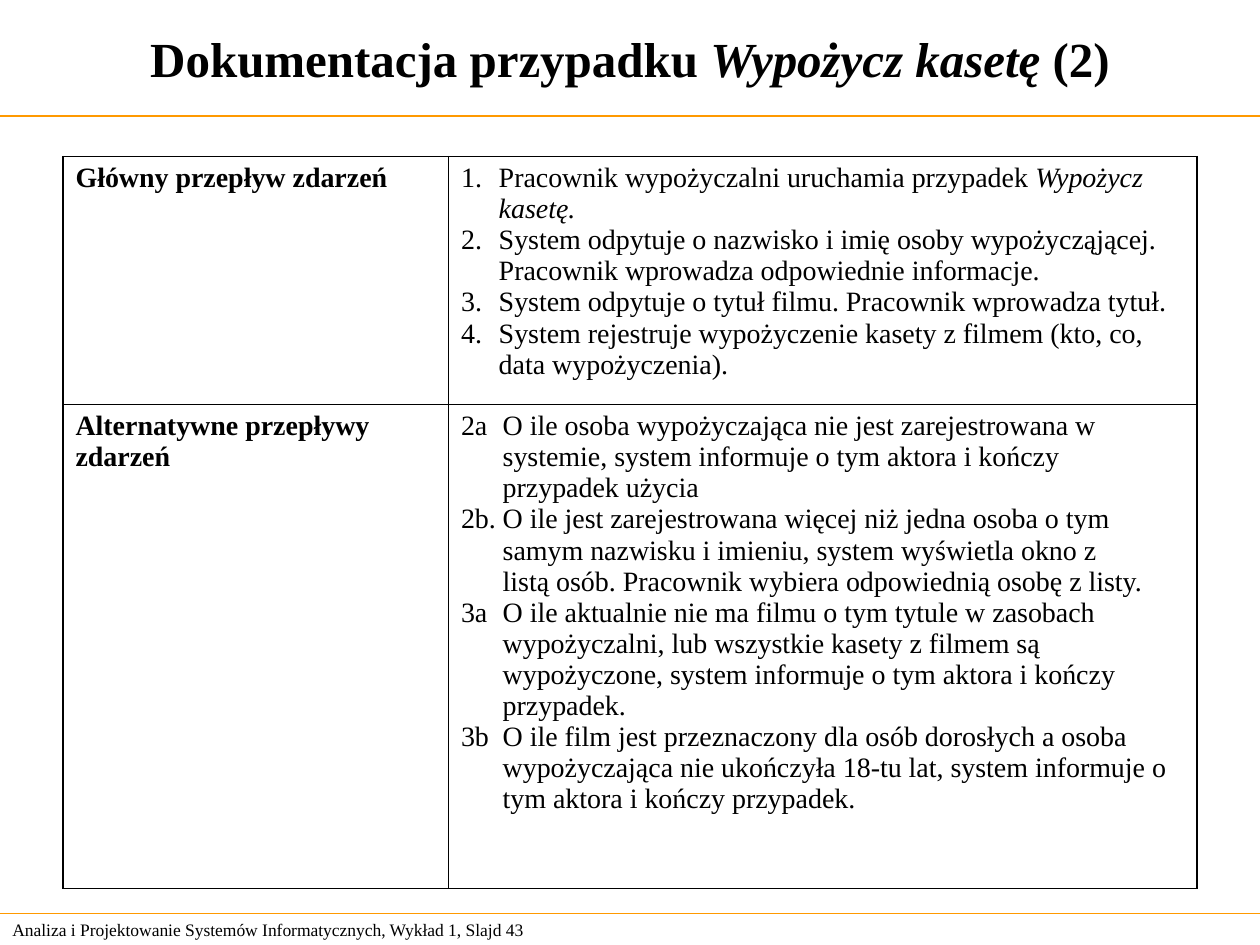
import pptx
import pptx.dml.color
import pptx.enum.shapes
import pptx.enum.text
import pptx.oxml.ns
import pptx.util
from lxml import etree
from pptx.util import Cm

BLACK = pptx.dml.color.RGBColor(0, 0, 0)
ORANGE = pptx.dml.color.RGBColor(0xFF, 0x99, 0x00)
FONT = "Times New Roman"
THIN, THICK = 0.45, 0.96
PAGE_WIDTH, PAGE_HEIGHT = 25.4, 19.05
HEADER_HEIGHT, FOOTER_TOP = 2.34, 18.41

MAIN_FLOW = [
    [("Pracownik wypożyczalni uruchamia przypadek ", False), ("Wypożycz kasetę.", True)],
    [("System odpytuje o nazwisko i imię osoby wypożycząjącej. "
      "Pracownik wprowadza odpowiednie informacje.", False)],
    [("System odpytuje o tytuł filmu. Pracownik wprowadza tytuł.", False)],
    [("System rejestruje wypożyczenie kasety z filmem (kto, co, data wypożyczenia).", False)],
]
ALTERNATIVE_FLOWS = [
    ("2a", ["O ile osoba wypożyczająca nie jest zarejestrowana w",
            "systemie, system informuje o tym aktora i kończy",
            "przypadek użycia"]),
    ("2b.", ["O ile jest zarejestrowana więcej niż jedna osoba o tym",
             "samym nazwisku i imieniu, system wyświetla okno z",
             "listą osób. Pracownik wybiera odpowiednią osobę z listy."]),
    ("3a", ["O ile aktualnie nie ma filmu o tym tytule w zasobach",
            "wypożyczalni, lub wszystkie kasety z filmem są",
            "wypożyczone, system informuje o tym aktora i kończy",
            "przypadek."]),
    ("3b", ["O ile film jest przeznaczony dla osób dorosłych a osoba",
            "wypożyczająca nie ukończyła 18-tu lat, system informuje o",
            "tym aktora i kończy przypadek."]),
]


def add_span(para, text, size, bold=False, italic=False):
    span = para.add_run()
    span.text = text
    font = span.font
    font.name, font.size = FONT, pptx.util.Pt(size)
    font.bold, font.italic = bold, italic
    font.color.rgb = BLACK


def next_para(frame, index):
    return frame.add_paragraph() if index else frame.paragraphs[0]


def set_indent(para, left, first=0):
    properties = para._p.get_or_add_pPr()
    properties.set("marL", str(Cm(left)))
    properties.set("indent", str(Cm(first)))
    return properties


def add_rule(page, left, top, width):
    rule = page.shapes.add_connector(pptx.enum.shapes.MSO_CONNECTOR.STRAIGHT,
                                     Cm(left), Cm(top), Cm(left + width), Cm(top))
    rule.line.color.rgb = ORANGE
    rule.line.width = pptx.util.Pt(0.75)
    etree.SubElement(rule._element.spPr, pptx.oxml.ns.qn("a:effectLst"))


def add_header(page, left, top, width, height):
    title = page.shapes.title
    title.left, title.top, title.width, title.height = Cm(left), Cm(top), Cm(width), Cm(height)
    frame = title.text_frame
    frame.auto_size = pptx.enum.text.MSO_AUTO_SIZE.NONE
    frame.vertical_anchor = pptx.enum.text.MSO_ANCHOR.MIDDLE
    para = frame.paragraphs[0]
    para.alignment = pptx.enum.text.PP_ALIGN.CENTER
    for text, italic in (("Dokumentacja przypadku ", False), ("Wypożycz kasetę ", True),
                         ("(2)", False)):
        add_span(para, text, 28, bold=True, italic=italic)
    add_rule(page, left, top + height, width)


def add_footer(page, left, top, width, height):
    add_rule(page, left, top, width)
    box = page.shapes.add_textbox(Cm(left), Cm(top), Cm(12.1), Cm(height))
    frame = box.text_frame
    frame.word_wrap = True
    frame.vertical_anchor = pptx.enum.text.MSO_ANCHOR.MIDDLE
    add_span(frame.paragraphs[0],
             "Analiza i Projektowanie Systemów Informatycznych, Wykład 1, Slajd 43", 10)


def set_borders(cell, **widths):
    cell.fill.background()
    properties = cell._tc.get_or_add_tcPr()
    for index, side in enumerate("LRTB"):
        line = etree.Element(pptx.oxml.ns.qn("a:ln" + side),
                             w=str(pptx.util.Pt(widths.get(side, THIN))))
        fill = etree.SubElement(line, pptx.oxml.ns.qn("a:solidFill"))
        etree.SubElement(fill, pptx.oxml.ns.qn("a:srgbClr"), val=str(BLACK))
        properties.insert(index, line)


def write_heading(cell, lines):
    for index, text in enumerate(lines):
        add_span(next_para(cell.text_frame, index), text, 16, bold=True)


def write_main_flow(cell):
    for index, step in enumerate(MAIN_FLOW):
        para = next_para(cell.text_frame, index)
        properties = set_indent(para, 0.76, -0.76)
        etree.SubElement(properties, pptx.oxml.ns.qn("a:buFont"), typeface=FONT)
        etree.SubElement(properties, pptx.oxml.ns.qn("a:buAutoNum"), type="arabicPeriod")
        for text, italic in step:
            add_span(para, text, 16, italic=italic)


def write_alternative_flows(cell):
    indent = 0.84
    lines = [(label if index == 0 else "", text)
             for label, texts in ALTERNATIVE_FLOWS for index, text in enumerate(texts)]
    for index, (label, text) in enumerate(lines):
        para = next_para(cell.text_frame, index)
        set_indent(para, indent, -indent if label else 0)
        add_span(para, f"{label}\t{text}" if label else text, 16)


def add_flow_table(page, left, top, width, height):
    first_column, first_row = 7.77, 5
    table = page.shapes.add_table(2, 2, Cm(left), Cm(top), Cm(width), Cm(height)).table
    table.first_row = table.horz_banding = False
    for column, size in zip(table.columns, (first_column, width - first_column)):
        column.width = Cm(size)
    for row, size in zip(table.rows, (first_row, height - first_row)):
        row.height = Cm(size)
    for row in range(2):
        set_borders(table.cell(row, 0), L=THICK)
        set_borders(table.cell(row, 1), R=THICK)
    write_heading(table.cell(0, 0), ["Główny przepływ zdarzeń"])
    write_main_flow(table.cell(0, 1))
    write_heading(table.cell(1, 0), ["Alternatywne przepływy", "zdarzeń"])
    write_alternative_flows(table.cell(1, 1))


def main():
    deck = pptx.Presentation()
    deck.slide_width, deck.slide_height = Cm(PAGE_WIDTH), Cm(PAGE_HEIGHT)
    page = deck.slides.add_slide(deck.slide_layouts[5])  # title only

    # Title and footer bands, each with its rule
    add_header(page, 0, 0, PAGE_WIDTH, HEADER_HEIGHT)
    add_footer(page, 0, FOOTER_TOP, PAGE_WIDTH, PAGE_HEIGHT - FOOTER_TOP)

    # Use case flows
    add_flow_table(page, 1.27, 3.15, 22.86, 14.76)
    deck.save("out.pptx")


if __name__ == "__main__":
    main()
